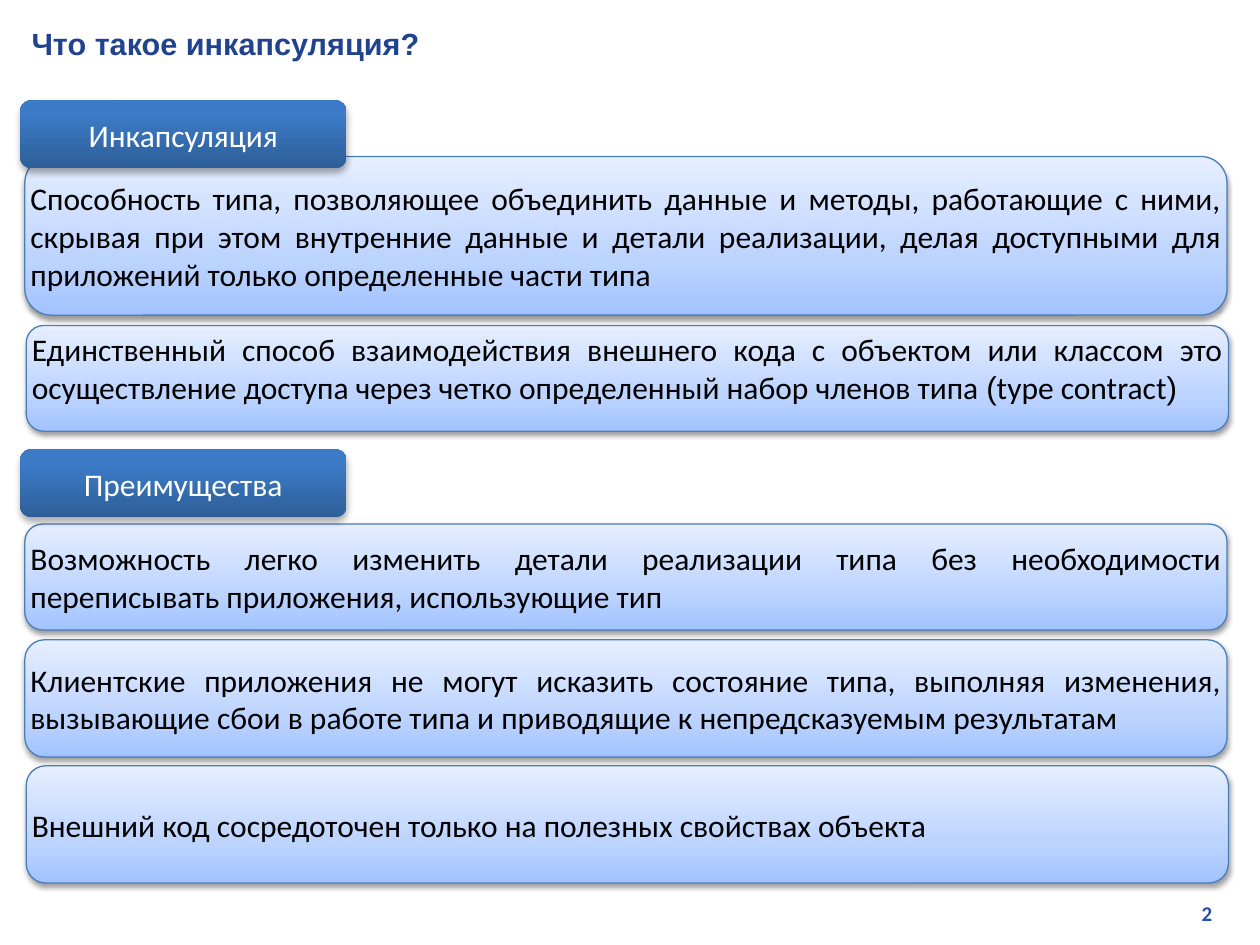
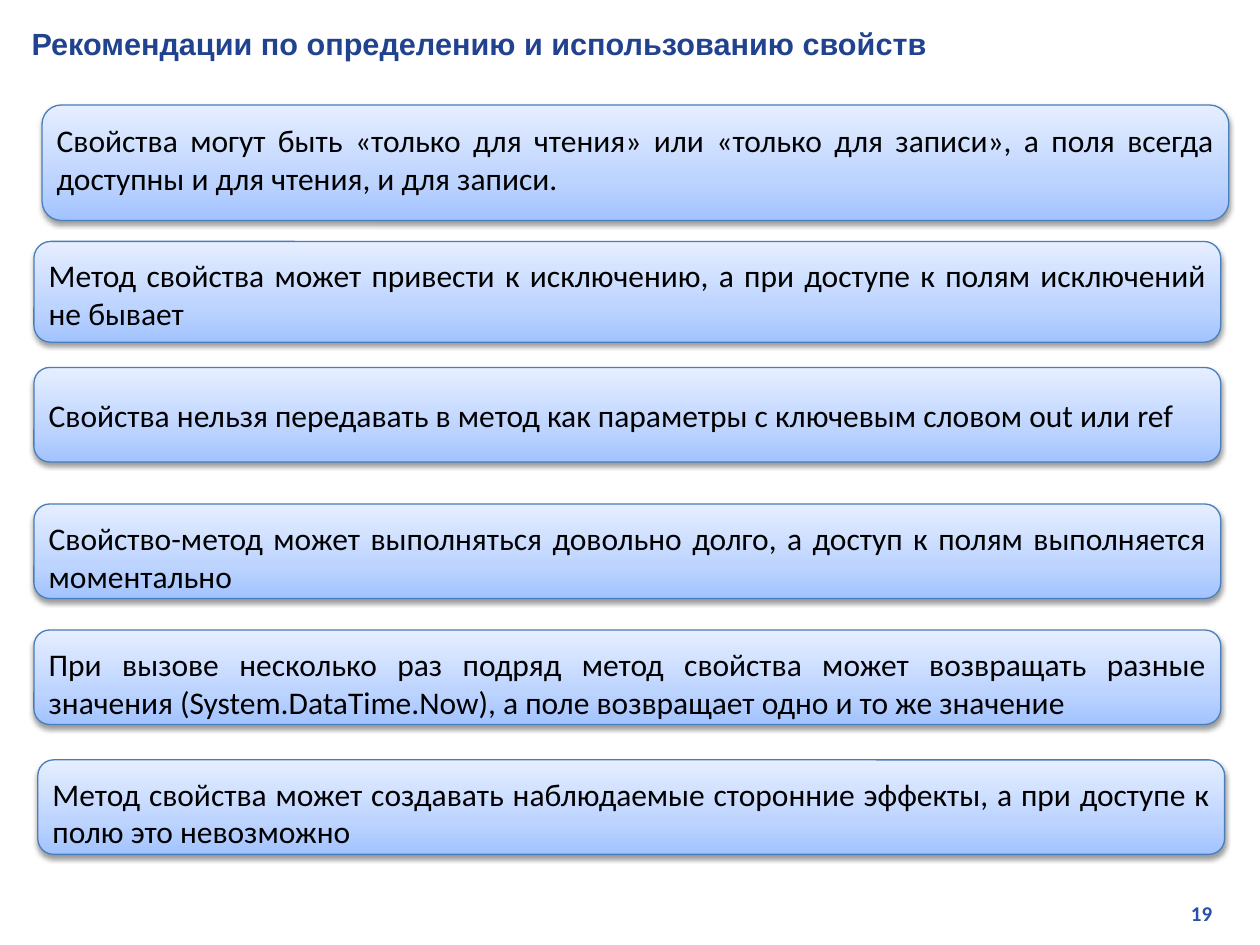
from dataclasses import dataclass
from itertools import cycle

from pptx import Presentation
from pptx.dml.color import RGBColor
from pptx.enum.shapes import MSO_SHAPE
from pptx.enum.text import MSO_ANCHOR, MSO_AUTO_SIZE, PP_ALIGN
from pptx.oxml import parse_xml
from pptx.oxml.ns import nsdecls
from pptx.util import Pt

TITLE_BLUE = RGBColor(0x21, 0x43, 0x8F)
NUMBER_BLUE = RGBColor(0x27, 0x50, 0xAB)
EDGE_BLUE = RGBColor(0x4A, 0x7E, 0xBB)
BLACK = RGBColor(0, 0, 0)
WHITE = RGBColor(0xFF, 0xFF, 0xFF)
# Gradient stops from bottom to top: position in percent, colour
PALE_STOPS = (
    (0, RGBColor(0xA2, 0xC3, 0xFF)),
    (35, RGBColor(0xBD, 0xD4, 0xFF)),
    (100, RGBColor(0xE6, 0xEE, 0xFF)),
)
DEEP_STOPS = (
    (0, RGBColor(0x2E, 0x5E, 0x97)),
    (80, RGBColor(0x3C, 0x7B, 0xC7)),
    (100, RGBColor(0x3A, 0x7C, 0xCA)),
)
HEADING_FONT = "Arial"
BODY_FONT = "Calibri"
LINE_HEIGHT = 22
TEXT_SLACK = 7.4


@dataclass
class Box:
    left: float
    top: float
    width: float
    height: float

    def lengths(self):
        return [Pt(n) for n in (self.left, self.top, self.width, self.height)]


@dataclass
class PanelStyle:
    stops: tuple
    edge: RGBColor | None
    ink: RGBColor
    align: PP_ALIGN
    shadow: tuple  # opacity in percent, blur and distance in points
    side: float = 3.2
    inset: float = 0


CARD = PanelStyle(PALE_STOPS, EDGE_BLUE, BLACK, PP_ALIGN.JUSTIFY, (38, 3, 1.6))
PADDED_CARD = PanelStyle(PALE_STOPS, EDGE_BLUE, BLACK, PP_ALIGN.JUSTIFY, (38, 3, 1.6),
                         side=4.8, inset=3.6)
HEADING = PanelStyle(DEEP_STOPS, None, WHITE, PP_ALIGN.CENTER, (32, 4, 2.2), side=1.6)


def set_margins(frame, inset):
    frame.margin_left = frame.margin_right = Pt(inset)
    frame.margin_top = frame.margin_bottom = Pt(inset)


def style_font(font, face, size, color, bold=False):
    font.name = face
    font.size = Pt(size)
    font.bold = bold
    font.color.rgb = color


def fill_upwards(shape, stops):
    """Fill with a three-stop gradient that runs from the bottom edge to the top."""
    shape.fill.gradient()
    shape.fill.gradient_angle = 90
    stop_list = shape._element.spPr.find(".//{*}gsLst")
    for old_stop in list(stop_list):
        stop_list.remove(old_stop)
    for position, color in stops:
        stop_list.append(parse_xml(
            f'<a:gs {nsdecls("a")} pos="{position * 1000}">'
            f'<a:srgbClr val="{color}"/></a:gs>'))


def cast_shadow(shape, opacity, blur, distance):
    shape.shadow.inherit = False
    shape._element.spPr.find("{*}effectLst").append(parse_xml(
        f'<a:outerShdw {nsdecls("a")} blurRad="{Pt(blur)}" dist="{Pt(distance)}" '
        f'dir="5400000" rotWithShape="0"><a:srgbClr val="000000">'
        f'<a:alpha val="{opacity * 1000}"/></a:srgbClr></a:outerShdw>'))


def add_panel(slide, box, pieces, style, lines=1, shift=0):
    """Group a rounded panel with its text, centred in the box and moved down by shift.

    The pieces of text alternate between the body and the heading font.
    """
    group = slide.shapes.add_group_shape()
    panel = group.shapes.add_shape(MSO_SHAPE.ROUNDED_RECTANGLE, *box.lengths())
    fill_upwards(panel, style.stops)
    if style.edge is None:
        panel.line.fill.background()
    else:
        panel.line.color.rgb = style.edge
        panel.line.width = Pt(0.75)
    cast_shadow(panel, *style.shadow)

    text_height = lines * LINE_HEIGHT + TEXT_SLACK
    text_box = Box(box.left + style.side,
                   box.top + (box.height - text_height) / 2 + shift,
                   box.width - 2 * style.side, text_height)
    frame = group.shapes.add_textbox(*text_box.lengths()).text_frame
    frame.word_wrap = True
    frame.vertical_anchor = MSO_ANCHOR.MIDDLE
    set_margins(frame, style.inset)
    paragraph = frame.paragraphs[0]
    paragraph.alignment = style.align
    style_font(paragraph.font, BODY_FONT, 18, style.ink)
    for piece, face in zip(pieces, cycle((BODY_FONT, HEADING_FONT))):
        run = paragraph.add_run()
        run.text = piece
        run.font.name = face


def add_titled_slide(deck, heading, number):
    slide = deck.slides.add_slide(deck.slide_layouts[5])
    title = slide.shapes.title
    title.left, title.top, title.width, title.height = Box(18, 14.4, 687, 28.8).lengths()
    frame = title.text_frame
    frame.text = heading
    frame.word_wrap = True
    frame.auto_size = MSO_AUTO_SIZE.NONE
    frame.vertical_anchor = MSO_ANCHOR.TOP
    set_margins(frame, 0)
    frame.paragraphs[0].alignment = PP_ALIGN.LEFT
    style_font(frame.paragraphs[0].font, HEADING_FONT, 17.5, TITLE_BLUE, bold=True)

    footer = slide.shapes.add_textbox(*Box(547.2, 511.2, 152.6, 21.6).lengths()).text_frame
    footer.word_wrap = True
    footer.text = str(number)
    footer.paragraphs[0].alignment = PP_ALIGN.RIGHT
    style_font(footer.paragraphs[0].font, BODY_FONT, 12, NUMBER_BLUE, bold=True)
    return slide


def build_encapsulation(deck):
    slide = add_titled_slide(deck, "Что такое инкапсуляция?", 2)
    # left, top, height, lines, shift, pieces
    cards = (
        (14.2, 89.4, 90.7, 3, 0,
         ["Способность типа, позволяющее объединить данные и методы, работающие с ними, "
          "скрывая при этом внутренние данные и детали реализации, делая доступными для "
          "приложений только определенные части типа"]),
        (15, 186, 60.5, 2, -6,
         ["Единственный способ взаимодействия внешнего кода с объектом или классом это "
          "осуществление доступа через четко определенный набор членов типа ",
          "(", "type contract", ")"]),
        (14.2, 299.5, 60.5, 2, 0,
         ["Возможность легко изменить детали реализации типа без необходимости "
          "переписывать приложения, использующие тип"]),
        (14.2, 365.6, 67, 2, 0,
         ["Клиентские приложения не могут исказить состояние типа, выполняя изменения, "
          "вызывающие сбои в работе типа и приводящие к непредсказуемым результатам"]),
        (15, 437.6, 67, 1, 0,
         ["Внешний код сосредоточен только на полезных свойствах объекта"]),
    )
    for left, top, height, lines, shift, pieces in cards:
        add_panel(slide, Box(left, top, 687, height), pieces, CARD, lines, shift)
    for top, heading in ((57.4, "Инкапсуляция"), (256.8, "Преимущества")):
        add_panel(slide, Box(11.5, top, 186.5, 38.9), [heading], HEADING)


def build_recommendations(deck):
    slide = add_titled_slide(deck, "Рекомендации по определению и использованию свойств", 19)
    # left, top, height, lines, shift, text
    cards = (
        (24, 60, 66, 2, -2,
         "Свойства могут быть «только для чтения» или «только для записи», "
         "а поля всегда доступны и для чтения, и для записи."),
        (19.4, 138, 57.6, 2, 1,
         "Метод свойства может привести к исключению, а при доступе к полям "
         "исключений не бывает"),
        (19.4, 210, 54, 1, 0,
         "Свойства нельзя передавать в метод как параметры с ключевым словом out или ref"),
        (19.4, 288, 54, 2, 3,
         "Свойство-метод может выполняться довольно долго, а доступ к полям "
         "выполняется моментально"),
        (19.4, 360, 54, 2, 3,
         "При вызове несколько раз подряд метод свойства может возвращать разные "
         "значения (System.DataTime.Now), а поле возвращает одно и то же значение"),
        (21.6, 434.2, 54, 2, 3,
         "Метод свойства может создавать наблюдаемые сторонние эффекты, а при доступе "
         "к полю это невозможно"),
    )
    for left, top, height, lines, shift, text in cards:
        add_panel(slide, Box(left, top, 678.2, height), [text], PADDED_CARD, lines, shift)


def main():
    deck = Presentation()
    deck.slide_width, deck.slide_height = Pt(720), Pt(540)
    build_encapsulation(deck)
    build_recommendations(deck)
    deck.save("out.pptx")


if __name__ == "__main__":
    main()
